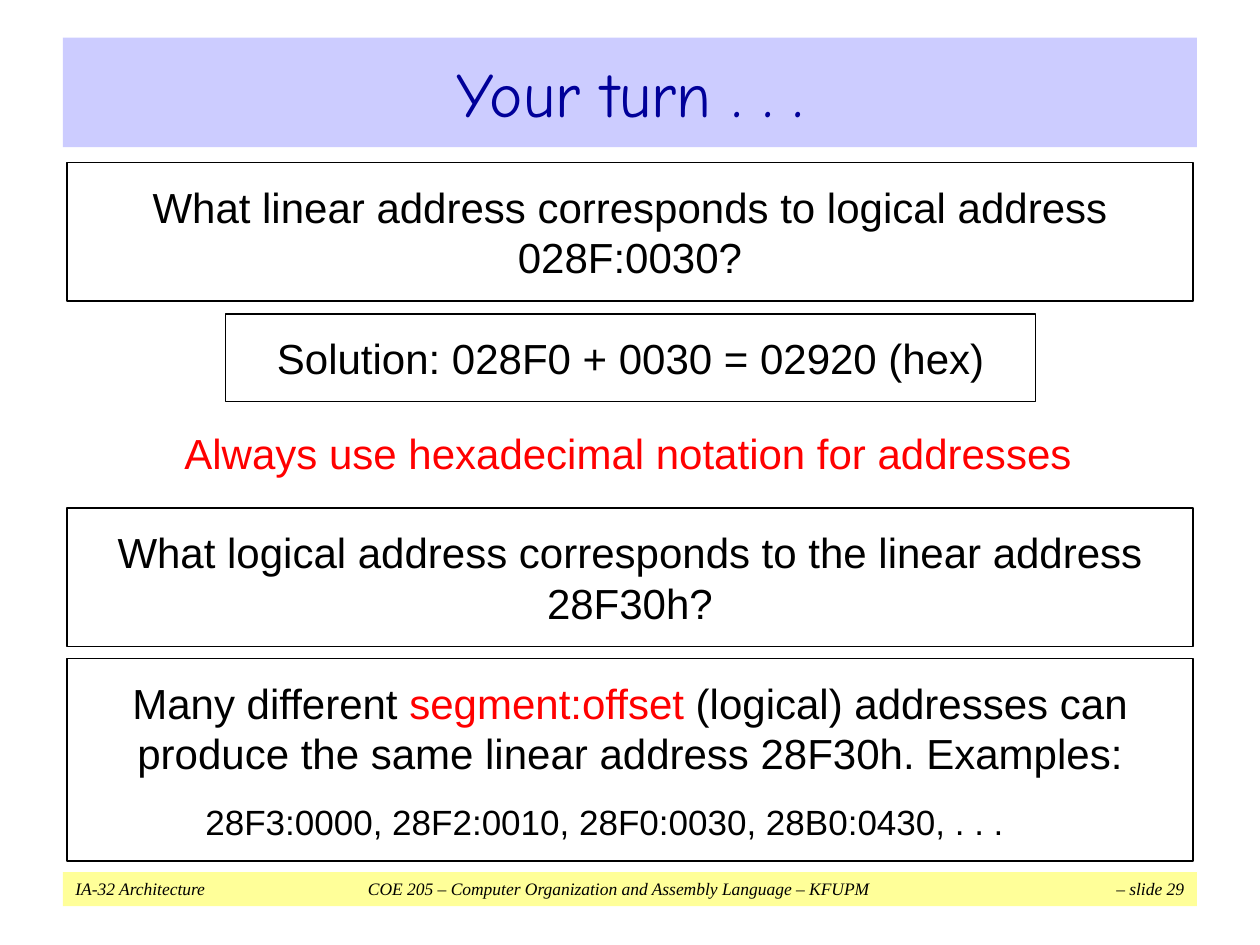
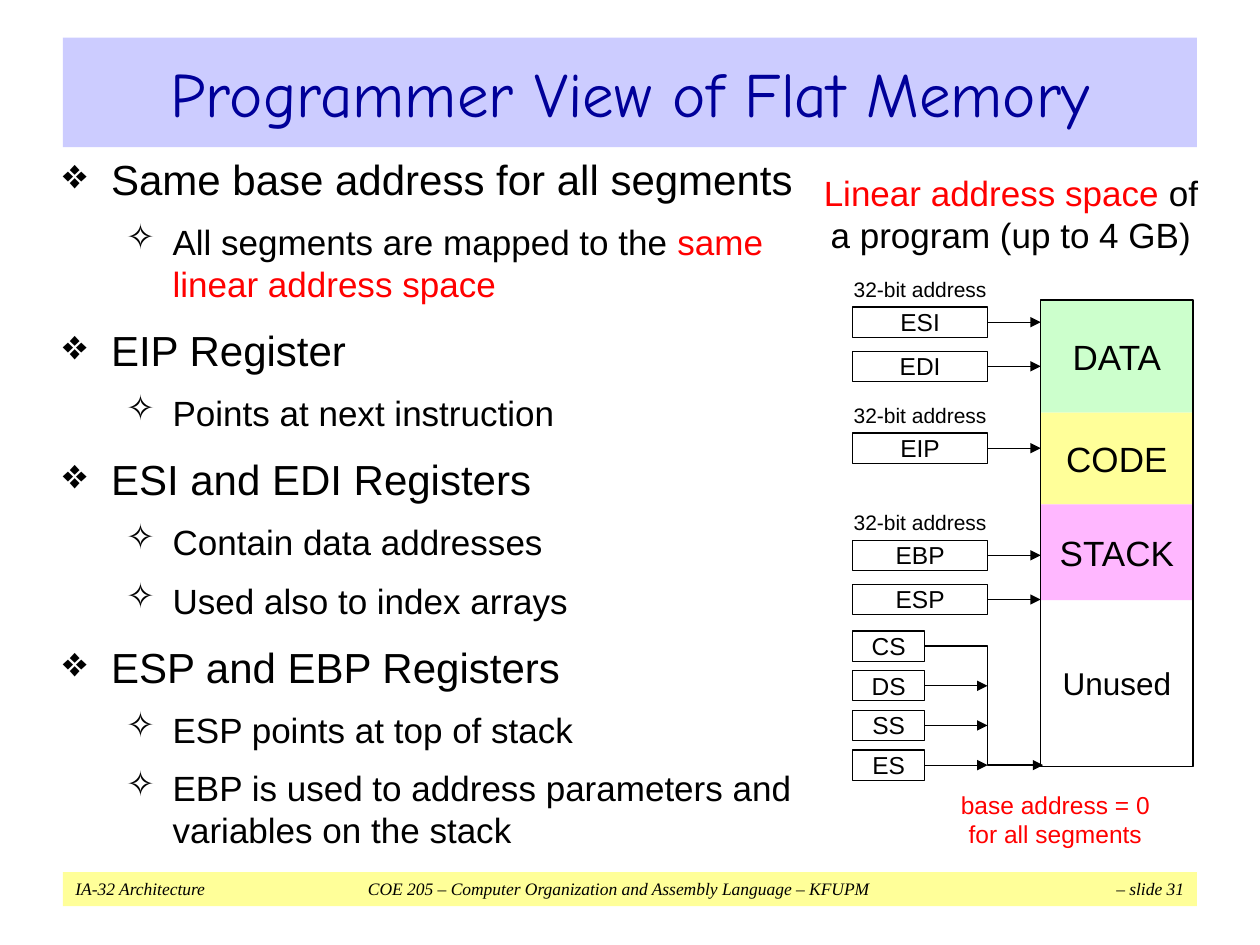
from pptx import Presentation
from pptx.dml.color import RGBColor
from pptx.enum.shapes import MSO_CONNECTOR as Connector, MSO_SHAPE as Preset
from pptx.enum.text import MSO_ANCHOR as Anchor, PP_ALIGN as Align
from pptx.oxml.ns import qn
from pptx.util import Cm, Pt
from lxml.etree import SubElement

BLACK = RGBColor(0x00, 0x00, 0x00)
RED = RGBColor(0xFF, 0x00, 0x00)
NAVY = RGBColor(0x00, 0x00, 0x99)
LAVENDER = RGBColor(0xCC, 0xCC, 0xFF)
YELLOW = RGBColor(0xFF, 0xFF, 0x99)
GREEN = RGBColor(0xCC, 0xFF, 0xCC)
PINK = RGBColor(0xFF, 0xB7, 0xFF)

LINE_WIDTH = Pt(0.75)
TITLE_BOX = (1.27, 0.76, 22.86, 2.21)
FOOTER_BOX = (1.27, 17.58, 22.86, 0.69)
QUESTIONS_BOX = (1.35, 3.28, 22.7, 14.08)
OUTLINE_BOX = (1.27, 2.97, 14.96, 14.5)
MEMORY_BOX = (16.38, 3.45, 8, 13.74)

BODY_FONT = {"name": "Arial", "size": Pt(24), "color": BLACK}
TITLE_FONT = {"name": "Comic Neue", "size": Pt(36), "color": NAVY}
FOOTER_FONT = {"name": "Times New Roman", "size": Pt(10), "italic": True, "color": BLACK}
FOOTER_TABS = [(0, "l"), (10.95, "ctr"), (22.35, "r"), (22.86, "l"), (25.4, "l"), (27.94, "l")]
BULLETS = [
    {"char": "❖", "left": 0.97, "hanging": 0.97, "size": Pt(24), "before": Pt(11.4)},
    {"char": "✧", "left": 2.21, "hanging": 0.94, "size": Pt(20), "before": Pt(9.5)},
]

QUESTIONS = [
    (0, 0, 22.7, 2.79, "What linear address corresponds to logical address 028F:0030?", True),
    (3.2, 3.05, 16.33, 1.77, "Solution: 028F0 + 0030 = 02920 (hex)", True),
    (2, 4.95, 18.62, 1.77, "|Always use hexadecimal notation for addresses|", False),
    (0, 6.96, 22.7, 2.79, "What logical address corresponds to the linear address 28F30h?", True),
]
ANSWER = ("Many different |segment:offset| (logical) addresses can produce "
          "the same linear address 28F30h. Examples:")
EXAMPLES = "28F3:0000, 28F2:0010, 28F0:0030, 28B0:0430, . . ."

OUTLINE = [
    (0, "Same base address for all segments"),
    (1, "All segments are mapped to the |same linear address space|"),
    (0, "EIP Register"),
    (1, "Points at next instruction"),
    (0, "ESI and EDI Registers"),
    (1, "Contain data addresses"),
    (1, "Used also to index arrays"),
    (0, "ESP and EBP Registers"),
    (1, "ESP points at top of stack"),
    (1, "EBP is used to address parameters and variables on the stack"),
]

MEMORY_AREAS = [
    ("DATA", 2.27, GREEN, 20),
    ("CODE", 1.85, YELLOW, 20),
    ("STACK", 1.93, PINK, 20),
    ("Unused", 3.35, None, 18),
]
REGISTER_GROUPS = [(2.74, ["ESI", "EDI"]), (5.28, ["EIP"]), (7.44, ["EBP", "ESP"])]
SEGMENT_REGISTERS = ["CS", "DS", "SS", "ES"]


def apply_format(target, values):
    for name, value in values.items():
        setattr(target, name, value)


def write_text(paragraph, text, font):
    for index, part in enumerate(text.split("|")):
        if part:
            run = paragraph.add_run()
            run.text = part
            apply_format(run.font, {k: v for k, v in font.items() if k != "color"})
            run.font.color.rgb = RED if index % 2 else font["color"]


def add_box(slide, box, text="", fill=None, outlined=False, font=BODY_FONT,
            align=Align.CENTER, anchor=Anchor.TOP, inset=(0.25, 0.13)):
    shape = slide.shapes.add_shape(Preset.RECTANGLE, *map(Cm, box))
    shape.shadow.inherit = False
    if fill is None:
        shape.fill.background()
    else:
        shape.fill.solid()
        shape.fill.fore_color.rgb = fill
    if outlined:
        shape.line.color.rgb = BLACK
        shape.line.width = LINE_WIDTH
    else:
        shape.line.fill.background()
    side, end = map(Cm, inset)
    apply_format(shape.text_frame, {
        "word_wrap": True, "vertical_anchor": anchor,
        "margin_left": side, "margin_right": side,
        "margin_top": end, "margin_bottom": end,
    })
    paragraph = shape.text_frame.paragraphs[0]
    paragraph.alignment = align
    write_text(paragraph, text, font)
    return shape


def add_arrowhead(shape):
    shape.line.color.rgb = BLACK
    shape.line.width = LINE_WIDTH
    properties = shape._element.spPr
    SubElement(properties.find(qn("a:ln")), qn("a:tailEnd"), type="triangle")
    SubElement(properties, qn("a:effectLst"))


def add_arrow(slide, x1, x2, y):
    add_arrowhead(slide.shapes.add_connector(Connector.STRAIGHT, Cm(x1), Cm(y), Cm(x2), Cm(y)))


def add_bent_arrow(slide, points):
    start, *rest = [(Cm(x), Cm(y)) for x, y in points]
    builder = slide.shapes.build_freeform(*start)
    builder.add_line_segments(rest, close=False)
    shape = builder.convert_to_shape()
    shape.fill.background()
    add_arrowhead(shape)


def add_frame(presentation, title, number):
    slide = presentation.slides.add_slide(presentation.slide_layouts[6])
    add_box(slide, TITLE_BOX, title, LAVENDER, font=TITLE_FONT, anchor=Anchor.MIDDLE)
    text = ("IA-32 Architecture\tCOE 205 – Computer Organization and Assembly Language"
            f" – KFUPM\t– slide {number}")
    footer = add_box(slide, FOOTER_BOX, text, YELLOW, font=FOOTER_FONT, align=Align.LEFT)
    properties = footer.text_frame.paragraphs[0]._p.get_or_add_pPr()
    tabs = SubElement(properties, qn("a:tabLst"))
    for position, kind in FOOTER_TABS:
        SubElement(tabs, qn("a:tab"), pos=str(Cm(position)), algn=kind)
    return slide


def add_questions(slide, box):
    left, top, width, height = box
    inset = (0.25, 0.38)
    for x, y, w, h, text, outlined in QUESTIONS:
        add_box(slide, (left + x, top + y, w, h), text, outlined=outlined, inset=inset)
    answer_top = 10
    shape = add_box(slide, (left, top + answer_top, width, height - answer_top), ANSWER,
                    outlined=True, inset=inset)
    paragraph = shape.text_frame.add_paragraph()
    apply_format(paragraph, {"alignment": Align.LEFT, "space_before": Pt(12.5)})
    paragraph._p.get_or_add_pPr().set("marL", str(Cm(2.54)))
    write_text(paragraph, EXAMPLES, {**BODY_FONT, "size": Pt(20)})


def add_outline(slide, box):
    text_box = slide.shapes.add_textbox(*map(Cm, box))
    frame = text_box.text_frame
    apply_format(frame, {"word_wrap": True, "margin_left": 0, "margin_right": 0})
    for index, (level, text) in enumerate(OUTLINE):
        bullet = BULLETS[level]
        paragraph = frame.add_paragraph() if index else frame.paragraphs[0]
        apply_format(paragraph, {"level": level, "space_before": bullet["before"]})
        properties = paragraph._p.get_or_add_pPr()
        properties.set("marL", str(Cm(bullet["left"])))
        properties.set("indent", str(-Cm(bullet["hanging"])))
        color = SubElement(properties, qn("a:buClr"))
        SubElement(color, qn("a:srgbClr"), val=str(BLACK))
        SubElement(properties, qn("a:buChar"), char=bullet["char"])
        write_text(paragraph, text, {**BODY_FONT, "size": bullet["size"]})


def add_memory(slide, box):
    left, top, width, height = box
    label_font, register_font, caption_font = (
        {**BODY_FONT, "size": Pt(size)} for size in (12, 14, 20))
    register_left, register_width, register_height = left + 0.81, 2.72, 0.61
    register_right = register_left + register_width
    memory_left, memory_top, memory_width = left + 4.6, top + 2.6, 3.07

    add_box(slide, (left, top, width, 1.75), "|Linear address space| of a program (up to 4 GB)",
            font=caption_font, inset=(0, 0))

    area_top = memory_top
    for name, area_height, fill, size in MEMORY_AREAS:
        add_box(slide, (memory_left, area_top, memory_width, area_height), name, fill,
                font={**BODY_FONT, "size": Pt(size)}, anchor=Anchor.MIDDLE)
        area_top += area_height
    add_box(slide, (memory_left, memory_top, memory_width, area_top - memory_top), outlined=True)

    def add_register(name, y, box_width, arrow_end=None):
        add_box(slide, (register_left, y, box_width, register_height), name,
                outlined=True, font=register_font, inset=(0.25, 0))
        if arrow_end:
            add_arrow(slide, register_left + box_width, arrow_end, y + register_height / 2)

    for group_top, names in REGISTER_GROUPS:
        add_box(slide, (register_left, top + group_top - 0.61, register_width, 0.61),
                "32-bit address", font=label_font, inset=(0, 0))
        for index, name in enumerate(names):
            add_register(name, top + group_top + index * 0.89, register_width, memory_left)

    segment_top, segment_pitch, segment_width = top + 9.27, 0.8, 1.45
    for index, name in enumerate(SEGMENT_REGISTERS):
        add_register(name, segment_top + index * segment_pitch, segment_width,
                     register_right if index else None)
    bus_top = segment_top + register_height / 2
    bus_bottom = bus_top + (len(SEGMENT_REGISTERS) - 1) * segment_pitch
    add_bent_arrow(slide, [
        (register_left + segment_width, bus_top), (register_right, bus_top),
        (register_right, bus_bottom), (memory_left + 0.05, bus_bottom),
    ])
    add_box(slide, (left + 2.57, top + height - 1.27, 4.65, 1.27),
            "|base address = 0 for all segments|", font=register_font, inset=(0.25, 0))


def main():
    presentation = Presentation()
    apply_format(presentation, {"slide_width": Cm(25.4), "slide_height": Cm(19.05)})
    add_questions(add_frame(presentation, "Your turn . . .", 29), QUESTIONS_BOX)
    slide = add_frame(presentation, "Programmer View of Flat Memory", 31)
    add_memory(slide, MEMORY_BOX)
    add_outline(slide, OUTLINE_BOX)
    presentation.save("out.pptx")


if __name__ == "__main__":
    main()
